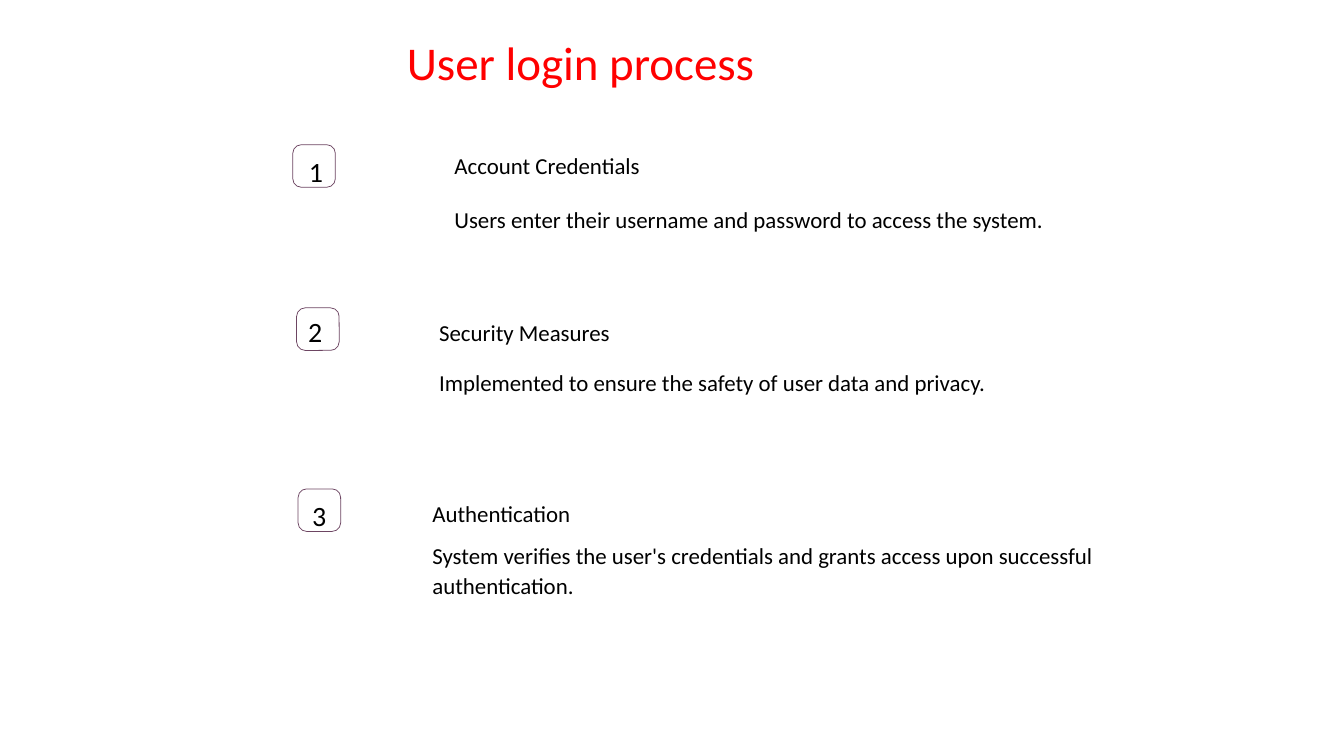
"""Build the slide that lists the three steps of the user login process."""
from dataclasses import dataclass

from pptx import Presentation
from pptx.dml.color import RGBColor
from pptx.enum.shapes import MSO_SHAPE as Shape
from pptx.enum.text import MSO_ANCHOR as Anchor, PP_ALIGN as Align
from pptx.util import Pt

RED = RGBColor(0xFF, 0x00, 0x00)
BLACK = RGBColor(0x00, 0x00, 0x00)
WHITE = RGBColor(0xFF, 0xFF, 0xFF)
PLUM = RGBColor(0x6D, 0x45, 0x62)


@dataclass
class Step:
    badge: tuple
    heading: str
    heading_at: tuple
    detail: str
    detail_top: float
    detail_size: tuple
    number_box: tuple = None


STEPS = [
    Step((230.6, 114),
         "Account Credentials", (350.8, 114.2),
         "Users enter their username and password to access the system.",
         155.9, (573.8, 26), (244.8, 116.8, 8, 28)),
    Step((233.6, 242.5),
         "Security Measures", (338.7, 245.5),
         "Implemented to ensure the safety of user data and privacy.",
         284.4, (532.8, 45.4)),
    Step((234.8, 385.1),
         "Authentication", (333.4, 388.1),
         "System verifies the user's credentials and grants access upon "
         "successful authentication.",
         420.5, (604.1, 62.6), (244.9, 387.4, 13, 28)),
]


class LoginSlide:
    font_name = "Calibri"
    badge_size = (33.5, 33.5)
    heading_size = (186.5, 23)

    def __init__(self, slide):
        self.slide = slide

    def text(self, shape, text, *, size=18, spacing=23.9, color=BLACK,
             align=Align.LEFT, wrap=True):
        frame = shape.text_frame
        frame.word_wrap = wrap
        frame.vertical_anchor = Anchor.TOP
        paragraph = frame.paragraphs[0]
        paragraph.alignment = align
        if spacing:
            paragraph.line_spacing = Pt(spacing)
        run = paragraph.add_run()
        run.text = text
        run.font.name = self.font_name
        run.font.size = Pt(size)
        run.font.color.rgb = color

    def title(self, text, bounds):
        box = self.slide.shapes.add_textbox(*map(Pt, bounds))
        self.text(box, text, size=37, spacing=46.5, color=RED)

    def panel(self, bounds, kind=Shape.RECTANGLE):
        shape = self.slide.shapes.add_shape(kind, *map(Pt, bounds))
        shape.shadow.inherit = False
        shape.fill.solid()
        shape.fill.fore_color.rgb = WHITE
        shape.line.fill.background()
        return shape

    def badge(self, position):
        shape = self.panel(position + self.badge_size, Shape.ROUNDED_RECTANGLE)
        shape.adjustments[0] = 0.2
        shape.line.color.rgb = PLUM
        shape.line.width = Pt(0.6)
        return shape

    def step(self, number, step):
        badge = self.badge(step.badge)
        if step.number_box:
            self.text(self.panel(step.number_box), str(number), size=22,
                      spacing=27.9, align=Align.CENTER, wrap=False)
        else:
            self.text(badge, str(number), size=22, spacing=None)
        self.text(self.panel(step.heading_at + self.heading_size),
                  step.heading, spacing=23.2)
        detail_at = (step.heading_at[0], step.detail_top)
        self.text(self.panel(detail_at + step.detail_size), step.detail)


def main():
    presentation = Presentation()
    presentation.slide_width = Pt(1058.4)
    presentation.slide_height = Pt(595.44)
    slide = presentation.slides.add_slide(presentation.slide_layouts[6])
    login = LoginSlide(slide)
    login.title("User login process", (313.3, 20.5, 372.2, 46.8))
    for number, step in enumerate(STEPS, start=1):
        login.step(number, step)
    presentation.save("out.pptx")


if __name__ == "__main__":
    main()
